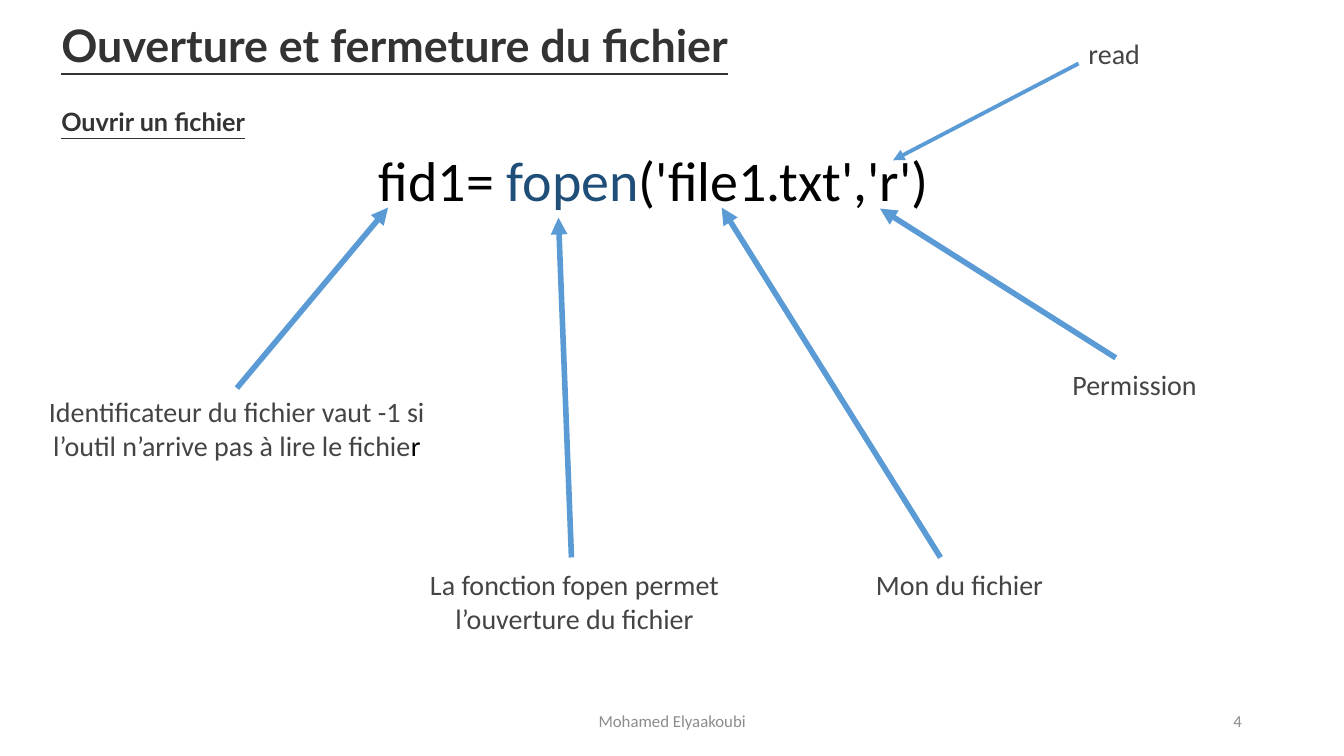
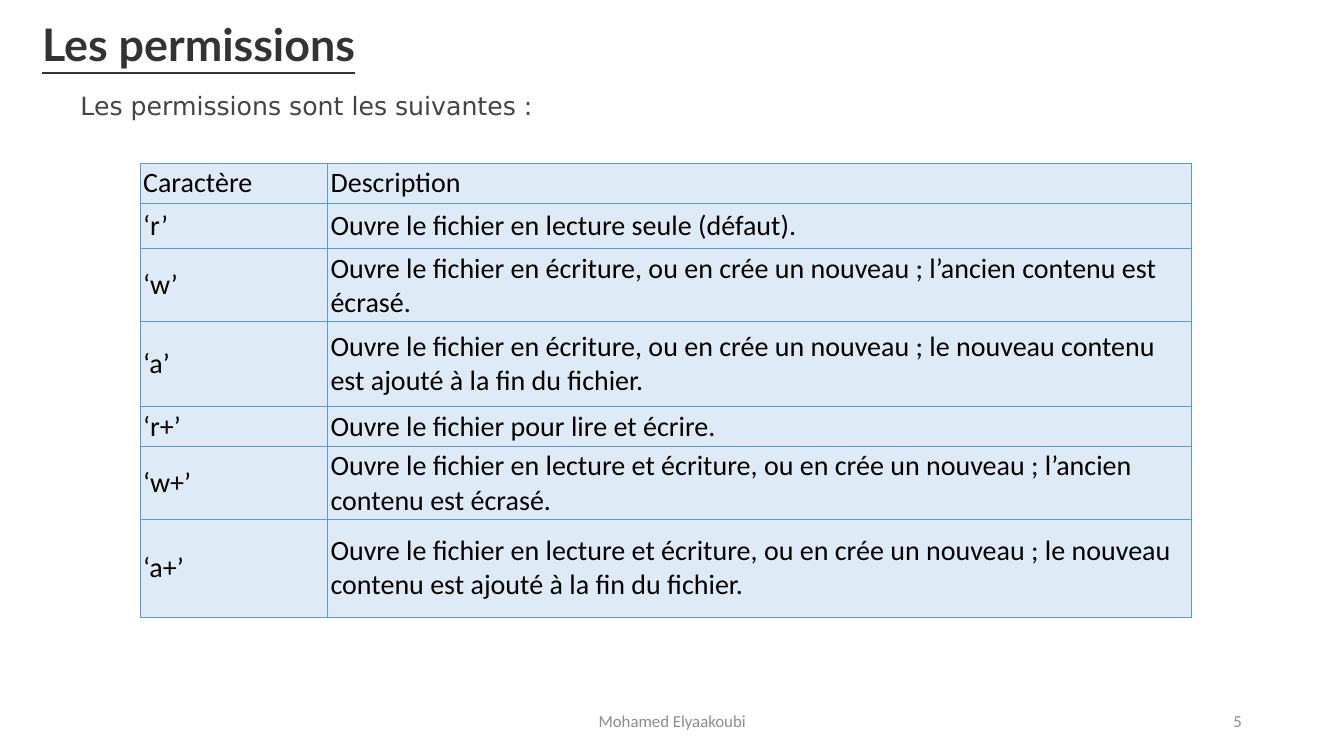
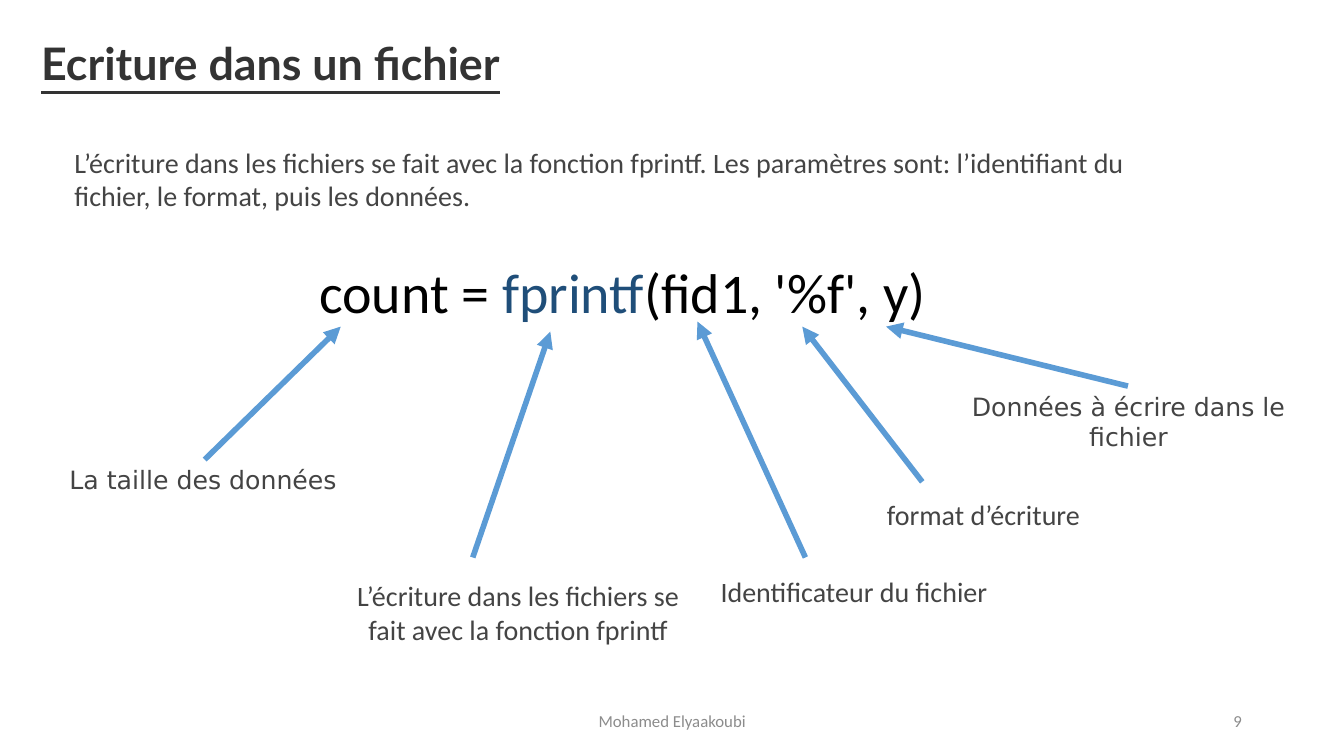
from lxml import etree
from pptx import Presentation
from pptx.dml.color import RGBColor
from pptx.enum import shapes, text
from pptx.oxml.ns import qn
from pptx.util import Pt

# Shared look
TITLE_GREY = RGBColor(0x33, 0x33, 0x33)
TEXT_GREY = RGBColor(0x44, 0x44, 0x44)
FOOTER_GREY = RGBColor(0x8C, 0x8C, 0x8C)
BLACK = RGBColor(0, 0, 0)
KEYWORD_BLUE = RGBColor(0x1F, 0x4E, 0x79)
LINE_BLUE = RGBColor(0x5B, 0x9B, 0xD5)
CELL_BLUE = RGBColor(0xDE, 0xEB, 0xF7)
HEADING, BODY, ALTERNATE = "Lato", "Calibri", "DejaVu Sans"
LEFT, CENTER, RIGHT = text.PP_ALIGN.LEFT, text.PP_ALIGN.CENTER, text.PP_ALIGN.RIGHT
AUTHOR = "Mohamed Elyaakoubi"

# Content: boxes are (left, top, width, height), arrows are (start, end, line width)
OPENING = dict(
    page=4,
    title=("Ouverture et fermeture du fichier", (36.7, 9.4, 500.4, 46.1)),
    code=(["fid1= ", "fopen", "('file1.txt','r')"], (263.5, 100.1, 411.8, 55.4)),
    labels=[
        (["Identificateur du fichier vaut -1 si l’outil n’arrive pas à lire le fichie", "r"],
         (10.8, 278.6, 316.8, 55.4), dict(align=CENTER, colors=[TEXT_GREY, BLACK])),
        (["La fonction fopen permet l’ouverture du fichier"],
         (277.2, 401.8, 266.4, 55.4), dict(align=CENTER)),
        (["Mon du fichier"], (608.4, 401.8, 154.1, 31.7), dict(align=CENTER)),
        (["Permission"], (758.9, 259.2, 104.4, 31.7), {}),
        (["read"], (770.4, 22.3, 129.6, 31.7), {}),
        (["Ouvrir un fichier"], (36.7, 72.7, 149, 28.8),
         dict(font=HEADING, size=18, colors=[TITLE_GREY], heading=True, wrap=False)),
    ],
    arrows=[
        ((169.2, 277.2), (277.2, 148.3), 4),
        ((408.2, 398.2), (398.9, 155.5), 4),
        ((671.8, 398.2), (515.5, 148.3), 4),
        ((797, 255.6), (628.6, 149), 4),
        ((770.4, 45.4), (637.9, 114.5), 2.75),
    ],
)

PERMISSIONS = dict(
    page=5,
    title=("Les permissions", (23, 8.6, 241.2, 46.1)),
    labels=[
        (["Les permissions sont les suivantes :"], (50.4, 61.2, 385.9, 28.8),
         dict(font=ALTERNATE, size=18, anchor=text.MSO_ANCHOR.MIDDLE)),
    ],
    table=[
        (28.4, "Caractère", "Description"),
        (32.4, "‘r’", "Ouvre le fichier en lecture seule (défaut)."),
        (52.2, "‘w’", "Ouvre le fichier en écriture, ou en crée un nouveau ; "
                      "l’ancien contenu est écrasé."),
        (60.5, "‘a’", "Ouvre le fichier en écriture, ou en crée un nouveau ; "
                      "le nouveau contenu est ajouté à la fin du fichier."),
        (28.4, "‘r+’", "Ouvre le fichier pour lire et écrire."),
        (52.2, "‘w+’", "Ouvre le fichier en lecture et écriture, ou en crée un nouveau ; "
                       "l’ancien contenu est écrasé."),
        (69.8, "‘a+’", "Ouvre le fichier en lecture et écriture, ou en crée un nouveau ; "
                       "le nouveau contenu est ajouté à la fin du fichier."),
    ],
)
TABLE_CORNER = (100.1, 116.6)
COLUMN_WIDTHS = (133.9, 617)

WRITING = dict(
    page=9,
    title=("Ecriture dans un fichier", (22.3, 22.3, 348.5, 46.1)),
    code=(["count = ", "fprintf", "(fid1, '%f', y)"], (221, 180.7, 463, 55.4)),
    labels=[
        (["L’écriture dans les fichiers se fait avec la fonction fprintf. Les paramètres sont: "
          "l’identifiant du fichier, le format, puis les données."],
         (46.1, 100.1, 805, 55.4), {}),
        (["L’écriture dans les fichiers se fait avec la fonction fprintf"],
         (241.2, 409.7, 257.8, 55.4), dict(align=CENTER)),
        (["Identificateur du fichier"], (507.6, 406.8, 212.4, 31.7), {}),
        (["format d’écriture"], (626.4, 352.1, 157, 32.4), {}),
        (["Données à écrire dans le fichier"], (686.9, 275.8, 238.3, 51.1),
         dict(font=ALTERNATE, size=18, align=CENTER)),
        (["La taille des données"], (42.5, 328.3, 207.4, 28.8),
         dict(font=ALTERNATE, size=18, wrap=False)),
    ],
    arrows=[
        ((146.2, 328.3), (243.4, 233.3), 4),
        ((337.7, 398.2), (393.1, 236.9), 4),
        ((575.3, 398.2), (498.2, 229.7), 4),
        ((658.8, 344.2), (573.1, 233.3), 4),
        ((805.7, 275.8), (632.9, 233.3), 4),
    ],
)


def style(run, font, size, color, heading=False):
    run.font.name, run.font.size, run.font.color.rgb = font, Pt(size), color
    if heading:
        run.font.bold = run.font.underline = True


def add_text(slide, pieces, box, font=BODY, size=20, colors=(TEXT_GREY,), align=LEFT,
             anchor=text.MSO_ANCHOR.TOP, wrap=True, heading=False):
    frame = slide.shapes.add_textbox(*map(Pt, box)).text_frame
    frame.word_wrap, frame.vertical_anchor = wrap, anchor
    line = frame.paragraphs[0]
    line.alignment = align
    for piece, color in zip(pieces, colors):
        run = line.add_run()
        run.text = piece
        style(run, font, size, color, heading)


def add_arrow(slide, start, end, width):
    arrow = slide.shapes.add_connector(
        shapes.MSO_CONNECTOR.STRAIGHT, *map(Pt, start + end))
    arrow.line.color.rgb, arrow.line.width = LINE_BLUE, Pt(width)
    properties = arrow._element.spPr
    etree.SubElement(properties.find(qn("a:ln")), qn("a:tailEnd"), type="triangle")
    etree.SubElement(properties, qn("a:effectLst"))


def add_borders(cell):
    properties = cell._tc.get_or_add_tcPr()
    for position, side in enumerate(("lnL", "lnR", "lnT", "lnB")):
        border = etree.Element(qn(f"a:{side}"), w=str(Pt(0.5)))
        fill = etree.SubElement(border, qn("a:solidFill"))
        etree.SubElement(fill, qn("a:srgbClr"), val=str(LINE_BLUE))
        properties.insert(position, border)


def add_permissions(slide, rows):
    size = (sum(COLUMN_WIDTHS), sum(row[0] for row in rows))
    grid = slide.shapes.add_table(
        len(rows), len(COLUMN_WIDTHS), *map(Pt, TABLE_CORNER + size)).table
    for column, width in zip(grid.columns, COLUMN_WIDTHS):
        column.width = Pt(width)
    for row, (height, *entries) in zip(grid.rows, rows):
        row.height = Pt(height)
        for cell, entry in zip(row.cells, entries):
            cell.margin_left = cell.margin_right = Pt(2.16)
            cell.margin_top = cell.margin_bottom = Pt(2.16)
            cell.vertical_anchor = text.MSO_ANCHOR.MIDDLE
            cell.fill.solid()
            cell.fill.fore_color.rgb = CELL_BLUE
            cell.text_frame.text = entry
            style(cell.text_frame.paragraphs[0].runs[0], BODY, 20, BLACK)
            add_borders(cell)


def add_slide(deck, content):
    slide = deck.slides.add_slide(deck.slide_layouts[6])
    # Title and footer
    title, box = content["title"]
    add_text(slide, [title], box, HEADING, 32, [TITLE_GREY], wrap=False, heading=True)
    for note, left, width, align in ((AUTHOR, 318.2, 324, CENTER),
                                     (str(content["page"]), 678.2, 216, RIGHT)):
        add_text(slide, [note], (left, 500.4, width, 28.8), size=12, colors=[FOOTER_GREY],
                 align=align, anchor=text.MSO_ANCHOR.MIDDLE)
    # Code line with its labels and arrows
    if "code" in content:
        add_text(slide, *content["code"], size=40,
                 colors=[BLACK, KEYWORD_BLUE, BLACK], wrap=False)
    for pieces, box, look in content["labels"]:
        add_text(slide, pieces, box, **look)
    for arrow in content.get("arrows", []):
        add_arrow(slide, *arrow)
    # Table
    if "table" in content:
        add_permissions(slide, content["table"])


def main():
    deck = Presentation()
    deck.slide_width, deck.slide_height = Pt(960), Pt(540)
    for content in (OPENING, PERMISSIONS, WRITING):
        add_slide(deck, content)
    deck.save("out.pptx")


if __name__ == "__main__":
    main()
